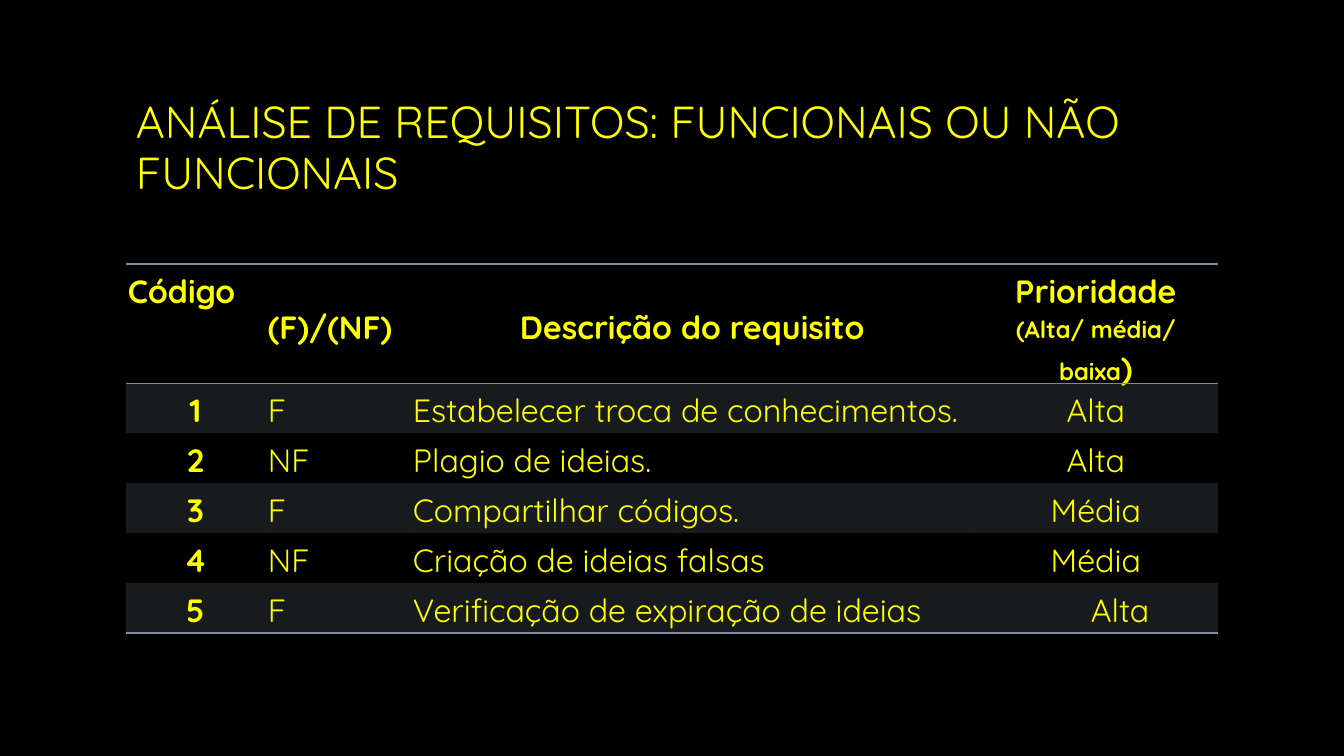
"""Builds a slide with a table of functional and non-functional requirements."""
from lxml.etree import SubElement
from pptx import Presentation
from pptx.dml.color import RGBColor
from pptx.enum.text import MSO_ANCHOR as Anchor, PP_ALIGN as Align
from pptx.oxml import parse_xml
from pptx.oxml.ns import nsdecls, qn
from pptx.util import Pt

TITLE = "ANÁLISE DE REQUISITOS: FUNCIONAIS OU NÃO FUNCIONAIS"
HEADERS = [
    [[("Código", 23)]],
    [[("(F)/(NF)", 23)]],
    [[("Descrição do requisito", 23)]],
    [[("Prioridade", 23)], [("(Alta/ média/ baixa", 17), (")", 23)]],
]
REQUIREMENTS = [
    ("1", "F", "Estabelecer troca de conhecimentos.", "Alta"),
    ("2", "NF", "Plagio de ideias.", "Alta"),
    ("3", "F", "Compartilhar códigos.", "Média"),
    ("4", "NF", "Criação de ideias falsas", "Média"),
    ("5", "F", "Verificação de expiração de ideias", "Alta"),
]
HEADER_ALIGNS = [Align.LEFT, Align.JUSTIFY, Align.CENTER, Align.CENTER]
HEADER_ANCHORS = [Anchor.TOP, Anchor.MIDDLE, Anchor.MIDDLE, Anchor.TOP]
BODY_ALIGNS = [Align.CENTER, Align.LEFT, Align.LEFT, Align.CENTER]

BLACK = RGBColor(0x00, 0x00, 0x00)
YELLOW = RGBColor(0xFF, 0xFF, 0x00)
OLIVE = RGBColor(0xA6, 0xA6, 0x00)
SLATE = RGBColor(0x7C, 0x89, 0x9A)
FONT = "Quicksand"
NO_STYLE = "{2D5ABB26-0587-4C30-8999-92F81FD0307C}"

SLIDE_W, SLIDE_H = 1344, 756
LEFT, WIDTH = 126, 1092
TITLE_TOP, TITLE_H = 68, 162
TABLE_TOP, HEADER_H, ROW_H = 264, 95, 50
COLUMNS = [140, 145, 564, 243]
LAST_PRIORITY_INDENT = 116
CELL_MARGINS = {"margin_left": 2, "margin_top": 4, "margin_right": 3, "margin_bottom": 0}


def px(length):
    return round(length * 12192000 / SLIDE_W)


def apply_format(target, values):
    for name, value in values.items():
        setattr(target, name, value)


def add_title(slide):
    box = slide.shapes.add_textbox(px(LEFT), px(TITLE_TOP), px(WIDTH), px(TITLE_H))
    frame = box.text_frame
    apply_format(frame, {"word_wrap": True, "vertical_anchor": Anchor.MIDDLE})
    paragraph = frame.paragraphs[0]
    paragraph.line_spacing = 0.95
    run = paragraph.add_run()
    run.text = TITLE
    apply_format(run.font, {"name": FONT, "size": Pt(32)})
    fill = run.font.fill
    fill.gradient()
    fill.gradient_angle = 267
    for stop, color in zip(fill.gradient_stops, (YELLOW, OLIVE)):
        stop.color.rgb = color


def write_cell(cell, paragraphs, align, bold, space_after):
    apply_format(cell, {name: px(value) for name, value in CELL_MARGINS.items()})
    frame = cell.text_frame
    for index, pieces in enumerate(paragraphs):
        paragraph = frame.add_paragraph() if index else frame.paragraphs[0]
        apply_format(paragraph, {"alignment": align, "line_spacing": 1.07,
                                 "space_after": Pt(space_after)})
        for text, size in pieces:
            run = paragraph.add_run()
            run.text = text
            apply_format(run.font, {"name": FONT, "size": Pt(size), "bold": bold})
            run.font.color.rgb = YELLOW


def shade(cell, banded):
    if not banded:
        cell.fill.background()
        return
    cell.fill.solid()
    cell.fill.fore_color.rgb = SLATE
    color = cell._tc.tcPr.find(".//" + qn("a:srgbClr"))
    SubElement(color, qn("a:alpha"), val="20000")


def add_borders(cell, sides):
    for index, side in enumerate(sides):
        line = parse_xml(
            f'<a:{side} {nsdecls("a")} w="12700"><a:solidFill>'
            f'<a:srgbClr val="{SLATE}"/></a:solidFill></a:{side}>')
        cell._tc.get_or_add_tcPr().insert(index, line)


def add_requirements(slide):
    row_count = len(REQUIREMENTS)
    frame = slide.shapes.add_table(
        row_count + 1, len(COLUMNS), px(LEFT), px(TABLE_TOP), px(WIDTH),
        px(HEADER_H + row_count * ROW_H))
    next(frame.element.iter(qn("a:tableStyleId"))).text = NO_STYLE
    table = frame.table
    for column, width in zip(table.columns, COLUMNS):
        column.width = px(width)
    for index, row in enumerate(table.rows):
        row.height = px(ROW_H if index else HEADER_H)

    for column, paragraphs in enumerate(HEADERS):
        cell = table.cell(0, column)
        write_cell(cell, paragraphs, HEADER_ALIGNS[column], True, 1.4)
        cell.vertical_anchor = HEADER_ANCHORS[column]
        shade(cell, False)
        add_borders(cell, ("lnT", "lnB"))

    for row, requirement in enumerate(REQUIREMENTS, 1):
        for column, text in enumerate(requirement):
            cell = table.cell(row, column)
            write_cell(cell, [[(text, 23)]], BODY_ALIGNS[column], column == 0, 8)
            shade(cell, row % 2 == 1)
            if row == row_count:
                add_borders(cell, ("lnB",))

    last_priority = table.cell(row_count, len(COLUMNS) - 1)
    last_priority.margin_left = px(LAST_PRIORITY_INDENT)
    last_priority.text_frame.paragraphs[0].alignment = Align.LEFT


def main():
    deck = Presentation()
    apply_format(deck, {"slide_width": px(SLIDE_W), "slide_height": px(SLIDE_H)})
    slide = deck.slides.add_slide(deck.slide_layouts[6])
    slide.background.fill.solid()
    slide.background.fill.fore_color.rgb = BLACK
    add_title(slide)
    add_requirements(slide)
    deck.save("out.pptx")


if __name__ == "__main__":
    main()
